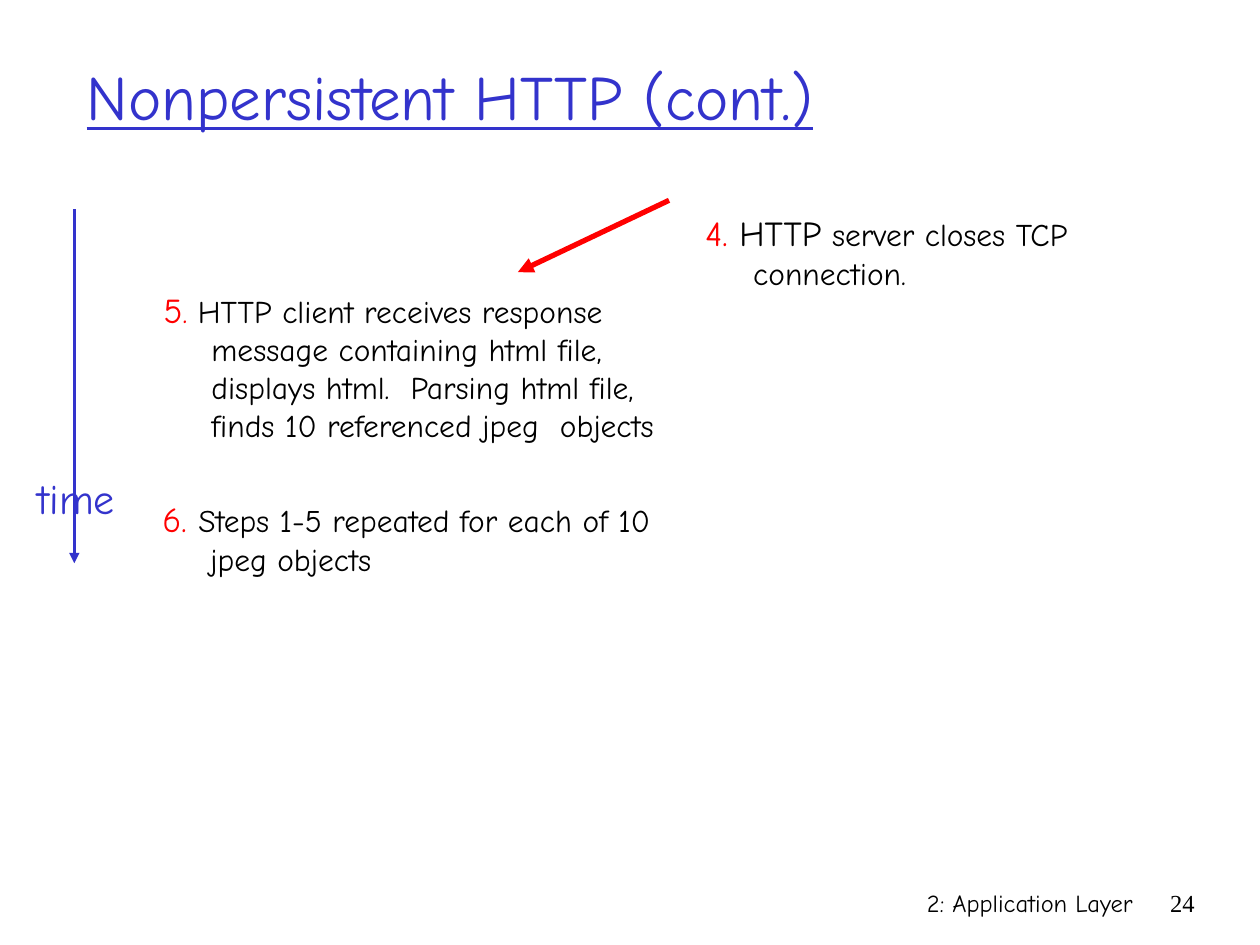
import pptx
import pptx.dml.color
import pptx.enum.shapes
import pptx.enum.text
import pptx.oxml.ns
import pptx.util
from lxml import etree
from pptx.util import Inches

BLACK = pptx.dml.color.RGBColor(0x00, 0x00, 0x00)
BLUE = pptx.dml.color.RGBColor(0x33, 0x33, 0xCC)
RED = pptx.dml.color.RGBColor(0xFF, 0x00, 0x00)
COMIC = "Comic Neue"
TIMES = "Times New Roman"
ALIGN = pptx.enum.text.PP_ALIGN
ANCHOR = pptx.enum.text.MSO_ANCHOR
HANGING = Inches(0.38)
STEP_WIDTH = 4.17


def add_text(slide, box, runs, align=ALIGN.LEFT, anchor=ANCHOR.TOP, wrap=True, font=COMIC):
    """Add a text box of (text, size, colour) runs and return its paragraph."""
    frame = slide.shapes.add_textbox(*map(Inches, box)).text_frame
    frame.word_wrap = wrap
    frame.vertical_anchor = anchor
    paragraph = frame.paragraphs[0]
    paragraph.alignment = align
    for text, size, colour in runs:
        run = paragraph.add_run()
        run.text = text
        run.font.name = font
        run.font.size = pptx.util.Pt(size)
        run.font.color.rgb = colour
    return paragraph


def add_step(slide, left, top, height, runs):
    """Add a numbered step with a hanging indent."""
    step = add_text(slide, (left, top, STEP_WIDTH, height), runs)
    step.space_before = pptx.util.Pt(4)
    properties = step._p.get_or_add_pPr()
    properties.set("marL", str(HANGING))
    properties.set("indent", str(-HANGING))


def add_arrow(slide, start, end, colour, width):
    """Add a straight arrow pointing at its end."""
    arrow = slide.shapes.add_connector(
        pptx.enum.shapes.MSO_CONNECTOR.STRAIGHT, *map(Inches, start + end))
    arrow.line.color.rgb = colour
    arrow.line.width = pptx.util.Pt(width)
    qn = pptx.oxml.ns.qn
    etree.SubElement(arrow.line._get_or_add_ln(), qn("a:tailEnd"), type="triangle")
    etree.SubElement(arrow._element.spPr, qn("a:effectLst"))


def main():
    """Build the nonpersistent HTTP slide."""
    deck = pptx.Presentation()
    deck.slide_width, deck.slide_height = Inches(10), Inches(7.5)
    slide = deck.slides.add_slide(deck.slide_layouts[6])

    add_text(slide, (5.92, 7, 3.17, 0.5), [("2: Application Layer", 14, BLACK)], ALIGN.RIGHT)
    add_text(slide, (9.08, 7, 0.5, 0.5), [("24", 14, BLACK)], ALIGN.RIGHT, font=TIMES)
    title = add_text(slide, (0.59, 0.28, 8.5, 0.95),
                     [("Nonpersistent HTTP (cont.)", 36, BLUE)], anchor=ANCHOR.MIDDLE)
    title.runs[0].font.underline = True

    add_step(slide, 1.2, 2.24, 1.68, [
        ("5", 20, RED),
        (".", 18, RED),
        (" HTTP client receives response message containing html file, "
         "displays html.  Parsing html file, finds 10 referenced jpeg  objects", 18, BLACK)])
    add_step(slide, 1.19, 3.9, 0.73, [
        ("6. ", 20, RED),
        ("Steps 1-5 repeated for each of 10 jpeg objects", 18, BLACK)])
    add_step(slide, 5.5, 1.63, 0.8, [
        ("4.", 20, RED),
        (" HTTP", 20, BLACK),
        (" server closes TCP connection.", 18, BLACK)])

    add_arrow(slide, (0.59, 1.66), (0.59, 4.47), BLUE, 1.5)
    add_text(slide, (0.16, 3.7, 0.89, 0.5), [("time", 24, BLUE)], ALIGN.CENTER, wrap=False)
    add_arrow(slide, (5.31, 1.59), (4.11, 2.16), RED, 3)

    deck.save("out.pptx")


if __name__ == "__main__":
    main()
